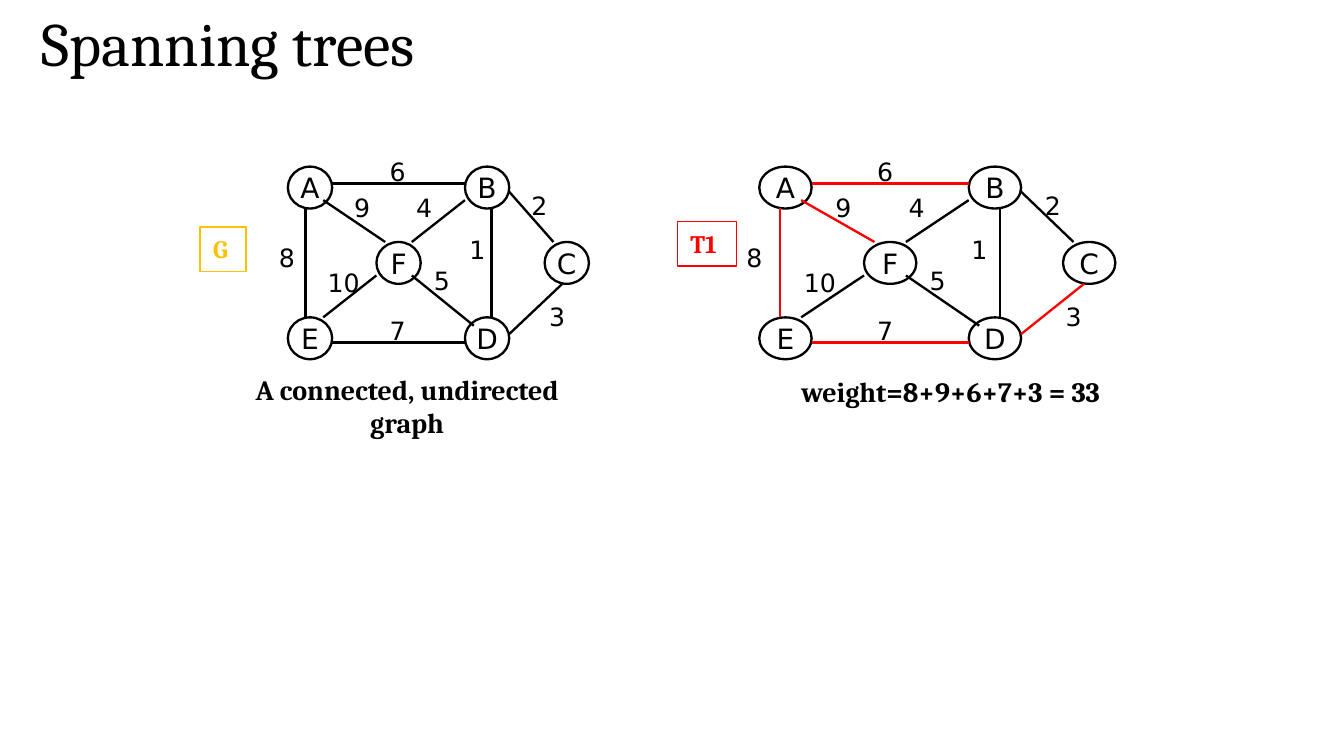
"""Build a slide comparing a weighted graph with one of its spanning trees."""
import dataclasses

import lxml.etree
import pptx
import pptx.dml.color
import pptx.enum.shapes
import pptx.enum.text
import pptx.oxml.ns
import pptx.util

Cm = pptx.util.Cm
Pt = pptx.util.Pt
RGB = pptx.dml.color.RGBColor
ALIGN = pptx.enum.text.PP_ALIGN
ANCHOR = pptx.enum.text.MSO_ANCHOR
SHAPE = pptx.enum.shapes.MSO_SHAPE


@dataclasses.dataclass(frozen=True)
class Theme:
    """Hold the colours, fonts and type sizes of the slide."""
    ink: RGB = RGB(0, 0, 0)
    tree: RGB = RGB(0xFF, 0, 0)
    graph: RGB = RGB(0xFF, 0xC0, 0)
    serif: str = "Cambria"
    sans: str = "DejaVu Sans"
    title: Pt = Pt(33)
    vertex: Pt = Pt(15)
    weight: Pt = Pt(13.5)
    caption: Pt = Pt(15)
    badge: Pt = Pt(13.5)
    stroke: Pt = Pt(1.25)
    frame: Pt = Pt(0.75)


THEME = Theme()
GRID_COLUMNS, GRID_ROWS, VERTEX_SPAN, WEIGHT_SPAN = 34, 23, 5, 7
GRAPH_TOP, GRAPH_HEIGHT, WEIGHT_HEIGHT = 3.15, 3.64, 0.84

VERTICES = {"A": (0, 0), "B": (20, 0), "E": (0, 18),
            "D": (20, 18), "F": (10, 9), "C": (29, 9)}

EDGES = {
    "AE": (8, (2, 5), (2, 18), (-2.5, 8.25)),
    "AB": (6, (5, 2), (20, 2), (10, -2)),
    "BD": (1, (23, 5), (23, 18), (19, 7.25)),
    "ED": (7, (5, 21), (20, 21), (10, 17)),
    "EF": (10, (4, 18), (10, 13), (3, 11.25)),
    "DF": (5, (21, 19), (14, 13), (15, 11)),
    "AF": (9, (4, 4), (11, 9), (6, 2.25)),
    "BF": (4, (20, 4), (14, 9), (13, 2.25)),
    "DC": (3, (25, 20), (31, 14), (28, 15.25)),
    "BC": (2, (25, 3), (30, 9), (26, 2)),
}


def apply_format(target, values):
    """Set each named attribute of the target."""
    for name, value in values.items():
        setattr(target, name, value)


def write(holder, wording, font, align=ALIGN.LEFT, **frame):
    """Put one formatted paragraph into a shape or text box."""
    apply_format(holder.text_frame, {"word_wrap": True, **frame})
    paragraph = holder.text_frame.paragraphs[0]
    paragraph.text = wording
    paragraph.alignment = align
    color = font.pop("color", THEME.ink)
    apply_format(paragraph.font, font)
    paragraph.font.color.rgb = color


def add_words(shapes, wording, box, font, align=ALIGN.LEFT, **frame):
    """Add a text box whose bounds are given in centimetres."""
    words = shapes.add_textbox(*map(Cm, box))
    write(words, wording, font, align, vertical_anchor=ANCHOR.TOP, **frame)


def add_outline(shapes, preset, box, color, width):
    """Add an unfilled preset shape and return it."""
    outline = shapes.add_shape(preset, *map(Cm, box))
    outline.shadow.inherit = False
    outline.fill.background()
    outline.line.color.rgb = color
    outline.line.width = width
    return outline


def add_edge(shapes, start, end, color):
    """Add a straight edge between two points in centimetres."""
    edge = shapes.add_connector(pptx.enum.shapes.MSO_CONNECTOR.STRAIGHT,
                                *map(Cm, (*start, *end)))
    edge.line.color.rgb = color
    edge.line.width = THEME.stroke
    lxml.etree.SubElement(edge.element.spPr, pptx.oxml.ns.qn("a:effectLst"))


def add_graph(slide, left, width, caption, caption_box, tree_edges=()):
    """Add the graph with its tree edges highlighted and its caption."""
    shapes = slide.shapes.add_group_shape().shapes
    column, row = width / GRID_COLUMNS, GRAPH_HEIGHT / GRID_ROWS

    def place(point):
        """Turn a grid point into centimetres."""
        return left + point[0] * column, GRAPH_TOP + point[1] * row

    for letter, corner in VERTICES.items():
        box = (*place(corner), VERTEX_SPAN * column, VERTEX_SPAN * row)
        vertex = add_outline(shapes, SHAPE.OVAL, box, THEME.ink, THEME.stroke)
        write(vertex, letter, {"name": THEME.sans, "size": THEME.vertex},
              ALIGN.CENTER, word_wrap=False, vertical_anchor=ANCHOR.MIDDLE)
    for name, (weight, start, end, corner) in EDGES.items():
        color = THEME.tree if name in tree_edges else THEME.ink
        add_edge(shapes, place(start), place(end), color)
        add_words(shapes, str(weight),
                  (*place(corner), WEIGHT_SPAN * column, WEIGHT_HEIGHT),
                  {"name": THEME.sans, "size": THEME.weight})
    add_words(shapes, caption, caption_box,
              {"name": THEME.serif, "size": THEME.caption, "bold": True},
              ALIGN.CENTER)


def add_badge(slide, wording, box, color):
    """Add a framed name tag for a graph."""
    badge = add_outline(slide.shapes, SHAPE.RECTANGLE, box, color, THEME.frame)
    write(badge, wording, {"name": THEME.serif, "size": THEME.badge,
                           "bold": True, "color": color},
          vertical_anchor=ANCHOR.TOP)


def main():
    """Build and save the slide."""
    deck = pptx.Presentation()
    apply_format(deck, {"slide_width": Cm(25.4), "slide_height": Cm(14.29)})
    slide = deck.slides.add_slide(deck.slide_layouts[6])
    add_graph(slide, 5.44, 5.69, "A connected, undirected graph",
              (3.91, 6.91, 7.57, 1.55))
    add_graph(slide, 14.35, 6.73, "weight=8+9+6+7+3 = 33",
              (14.35, 6.96, 7.24, 1.55), ("AE", "AB", "ED", "AF", "DC"))
    add_words(slide.shapes, "Spanning trees", (0.61, 0, 16.2, 1.6),
              {"name": THEME.serif, "size": THEME.title},
              margin_left=Cm(0.18), margin_right=Cm(0.18),
              margin_top=Cm(0.1), margin_bottom=Cm(0.1))
    add_badge(slide, "G", (3.78, 4.29, 0.87, 0.84), THEME.graph)
    add_badge(slide, "T1", (12.8, 4.19, 1.12, 0.84), THEME.tree)
    deck.save("out.pptx")


if __name__ == "__main__":
    main()
